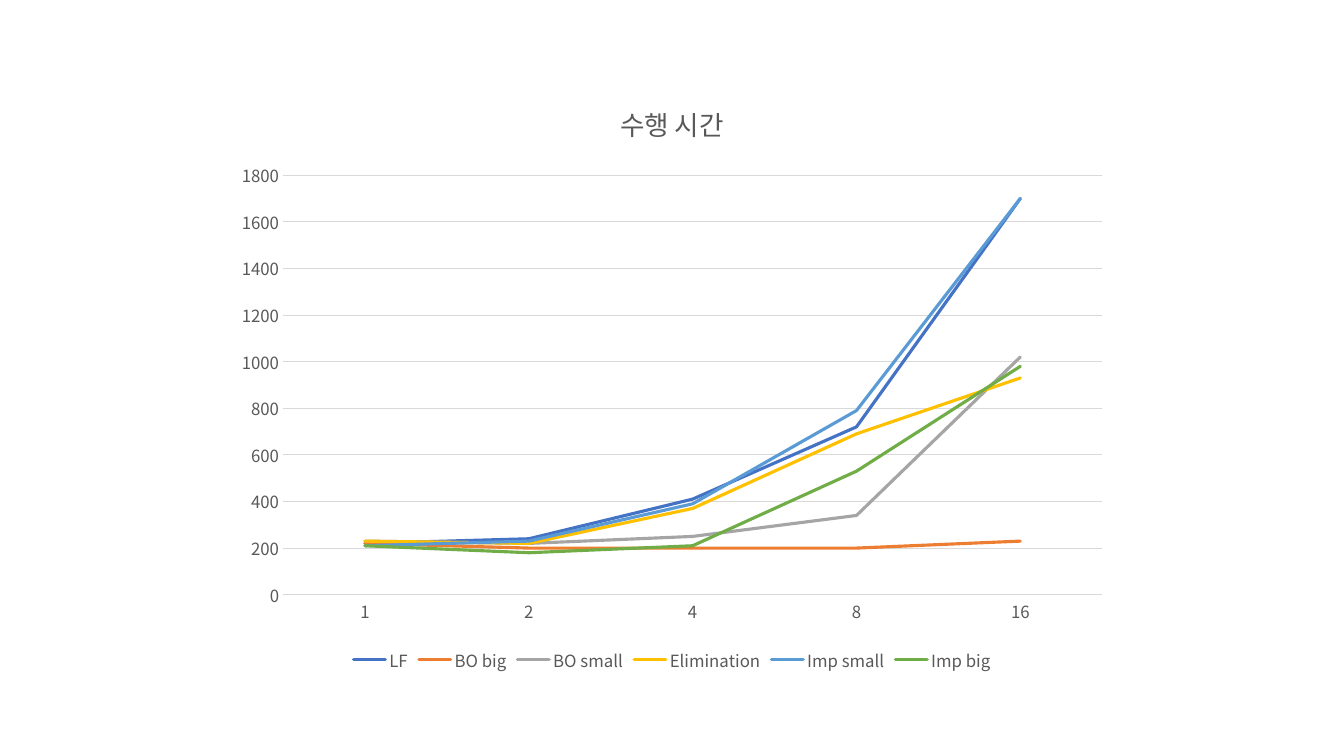
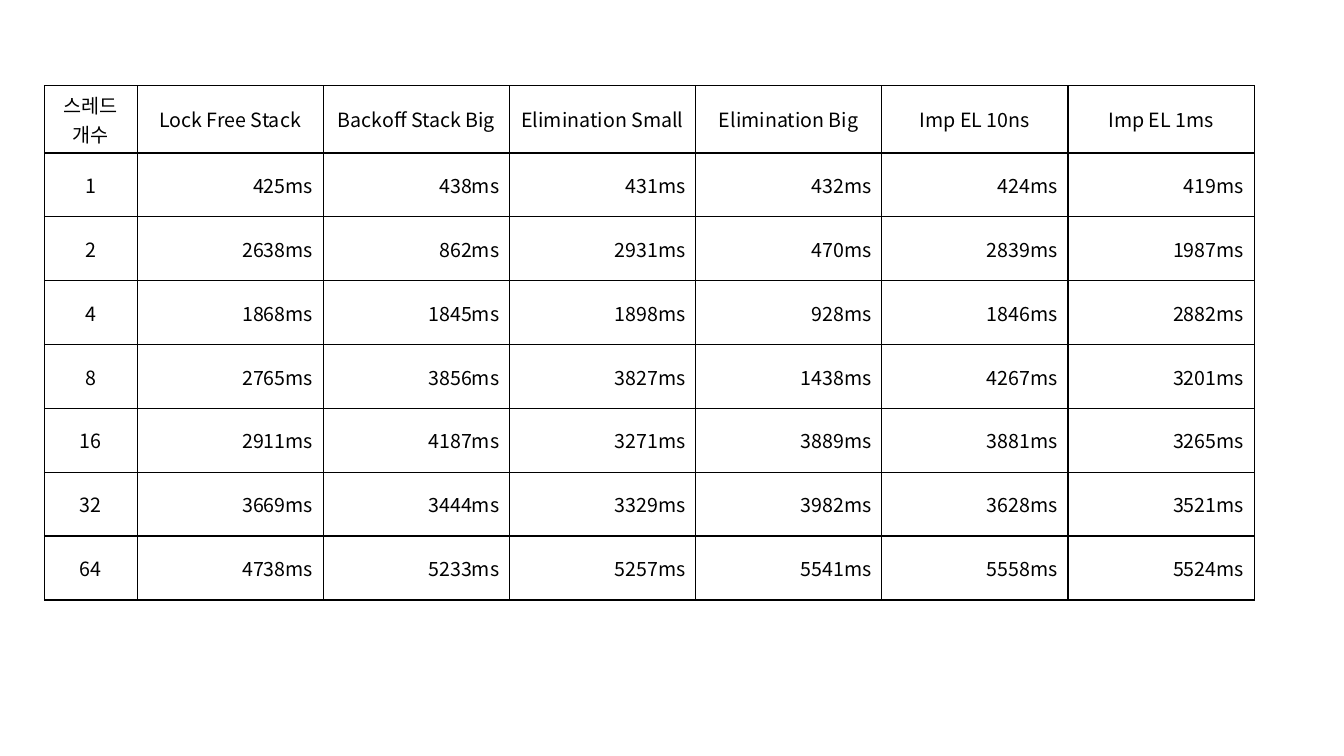
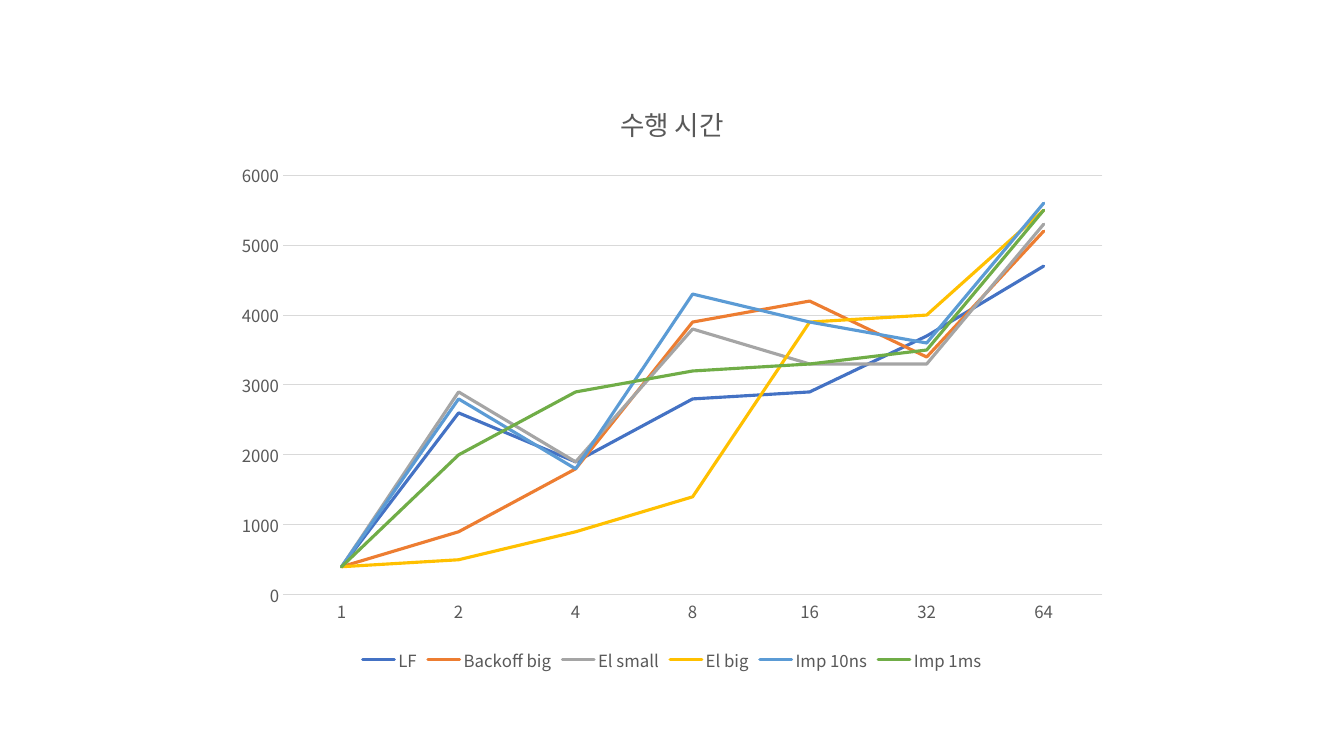
"""Build three slides on stack run times: a line chart, a table and its line chart."""
from lxml.etree import SubElement
from pptx import Presentation
from pptx.chart.data import CategoryChartData
from pptx.dml.color import RGBColor
from pptx.enum.chart import XL_CHART_TYPE as ChartType, XL_LEGEND_POSITION as LegendPosition
from pptx.enum.chart import XL_TICK_MARK as TickMark
from pptx.enum.text import MSO_ANCHOR as Anchor, PP_ALIGN as Align
from pptx.oxml import parse_xml
from pptx.oxml.ns import nsdecls, qn
from pptx.util import Inches, Pt

FONT = "Noto Sans CJK KR"
COLORS = {"ink": "000000", "paper": "FFFFFF", "label": "595959", "grid": "D9D9D9"}
SERIES_COLORS = ["4472C4", "ED7D31", "A5A5A5", "FFC000", "5B9BD5", "70AD47"]

first_threads = [1, 2, 4, 8, 16]
first_times = {
    "LF": [220, 240, 410, 720, 1700],
    "BO big": [220, 200, 200, 200, 230],
    "BO small": [230, 220, 250, 340, 1020],
    "Elimination": [230, 220, 370, 690, 930],
    "Imp small": [210, 230, 390, 790, 1700],
    "Imp big": [210, 180, 210, 530, 980],
}

headings = ["스레드 개수", "Lock Free Stack", "Backoff Stack Big", "Elimination Small",
            "Elimination Big", "Imp EL 10ns", "Imp EL 1ms"]
measurements = {
    1: [425, 438, 431, 432, 424, 419],
    2: [2638, 862, 2931, 470, 2839, 1987],
    4: [1868, 1845, 1898, 928, 1846, 2882],
    8: [2765, 3856, 3827, 1438, 4267, 3201],
    16: [2911, 4187, 3271, 3889, 3881, 3265],
    32: [3669, 3444, 3329, 3982, 3628, 3521],
    64: [4738, 5233, 5257, 5541, 5558, 5524],
}
second_names = ["LF", "Backoff big", "El small", "El big", "Imp 10ns", "Imp 1ms"]
second_times = {name: [round(value, -2) for value in values]
                for name, values in zip(second_names, zip(*measurements.values()))}


def style_font(font, size, color):
    font.size = Pt(size)
    font.bold = False
    font.name = FONT
    font.color.rgb = RGBColor.from_string(COLORS[color])
    SubElement(font._rPr, qn("a:ea"), typeface=FONT)


def add_time_chart(slide, threads, times, top_value, step):
    time_data = CategoryChartData()
    time_data.categories = [str(count) for count in threads]
    for name, values in times.items():
        time_data.add_series(name, values)
    chart = slide.shapes.add_chart(ChartType.LINE, Inches(2.22), Inches(0.79),
                                   Inches(8.89), Inches(5.92), time_data).chart
    style_font(chart.font, 10, "ink")

    chart.has_title = True
    heading = chart.chart_title.text_frame.paragraphs[0]
    heading.text = "수행 시간"
    style_font(heading.runs[0].font, 19, "label")
    chart.chart_title.include_in_layout = False

    chart.has_legend = True
    chart.legend.position = LegendPosition.BOTTOM
    chart.legend.include_in_layout = False
    style_font(chart.legend.font, 12, "label")

    thread_axis, time_axis = chart.category_axis, chart.value_axis
    for axis in (thread_axis, time_axis):
        axis.major_tick_mark = axis.minor_tick_mark = TickMark.NONE
        style_font(axis.tick_labels.font, 12, "label")
    time_axis.minimum_scale, time_axis.maximum_scale = 0, top_value
    time_axis.major_unit = step
    time_axis.format.line.fill.background()
    for line in (thread_axis.format.line, time_axis.major_gridlines.format.line):
        line.color.rgb = RGBColor.from_string(COLORS["grid"])
        line.width = Pt(0.75)

    for series, color in zip(chart.plots[0].series, SERIES_COLORS):
        series.smooth = False
        series.format.line.color.rgb = RGBColor.from_string(color)
        series.format.line.width = Pt(2.25)
        series.format.line._get_or_add_ln().set("cap", "rnd")


deck = Presentation()
deck.slide_width, deck.slide_height = Inches(13.33), Inches(7.5)
blank = deck.slide_layouts[6]

add_time_chart(deck.slides.add_slide(blank), first_threads, first_times, 1800, 200)

rows = [headings] + [[str(count)] + [f"{value}ms" for value in values]
                     for count, values in measurements.items()]
table_width, table_height, count_width = Inches(12), Inches(5.07), Inches(0.92)
measurement_table = deck.slides.add_slide(blank).shapes.add_table(
    len(rows), len(headings), Inches(0.44), Inches(0.85), table_width, table_height).table
measurement_table.first_row = measurement_table.horz_banding = False
time_width = (table_width - count_width) // (len(headings) - 1)
for index, column in enumerate(measurement_table.columns):
    column.width = time_width if index else count_width
for row in measurement_table.rows:
    row.height = table_height // len(rows)

for row_index, row in enumerate(rows):
    for column_index, text in enumerate(row):
        cell = measurement_table.cell(row_index, column_index)
        cell.vertical_anchor = Anchor.MIDDLE
        paragraph = cell.text_frame.paragraphs[0]
        paragraph.text = text
        paragraph.alignment = Align.RIGHT if row_index and column_index else Align.CENTER
        style_font(paragraph.runs[0].font, 14, "ink")
        for side in ("lnL", "lnR", "lnT", "lnB"):
            cell._tc.get_or_add_tcPr().append(parse_xml(
                f'<a:{side} {nsdecls("a")} w="{Pt(1)}"><a:solidFill>'
                f'<a:srgbClr val="{COLORS["ink"]}"/></a:solidFill></a:{side}>'))
        cell.fill.solid()
        cell.fill.fore_color.rgb = RGBColor.from_string(COLORS["paper"])

add_time_chart(deck.slides.add_slide(blank), measurements, second_times, 6000, 1000)

deck.save("out.pptx")
